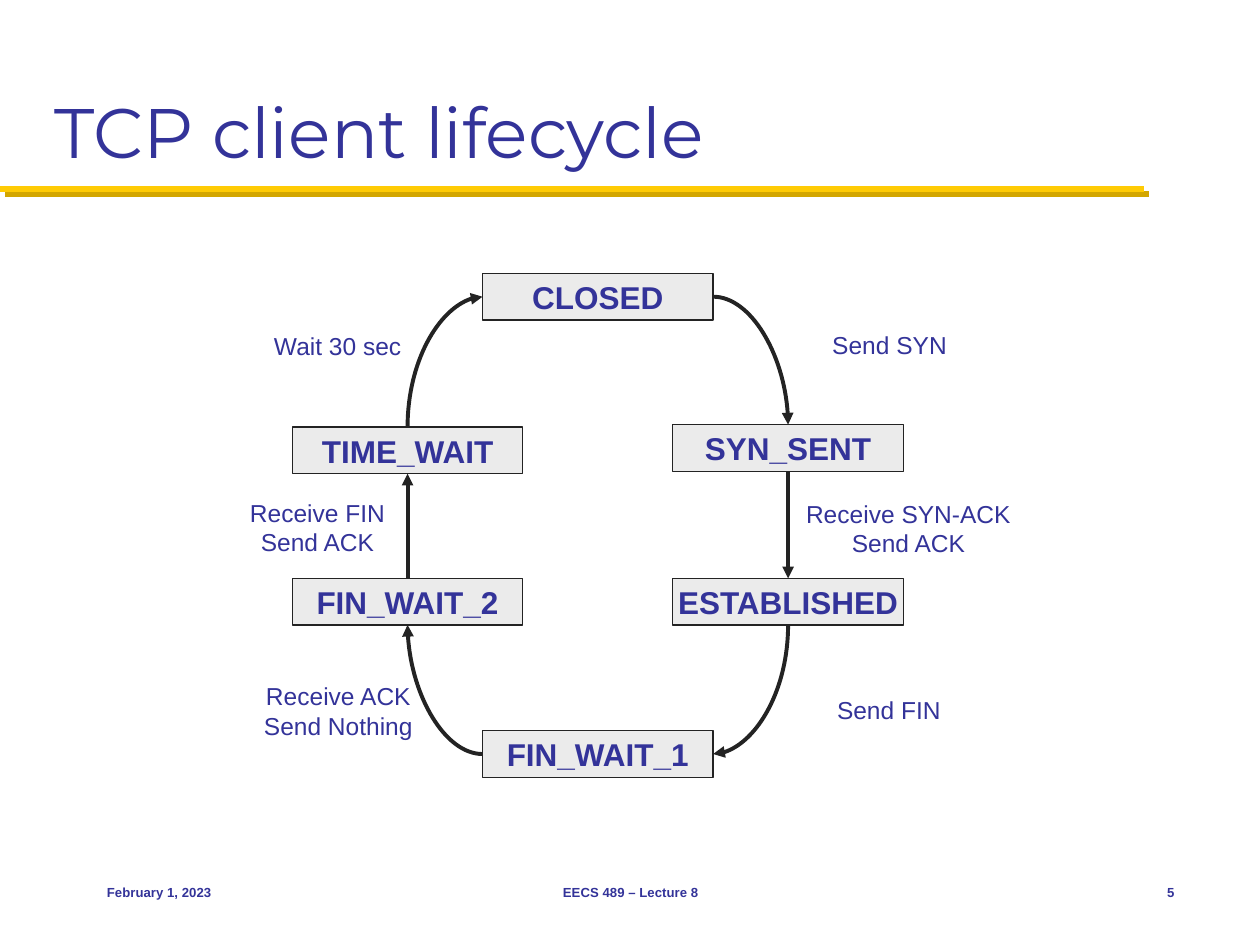
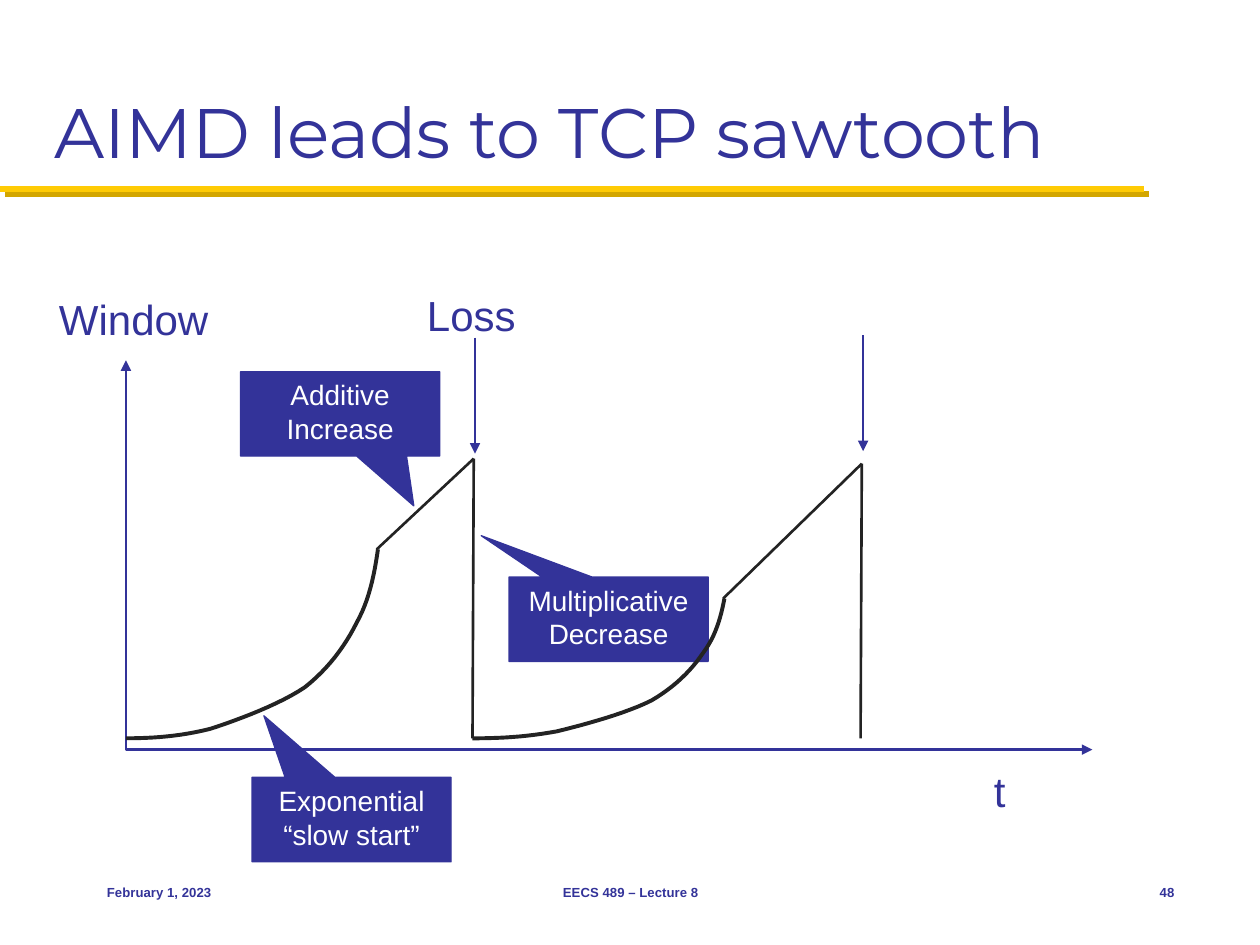
import pptx
import pptx.util
import pptx.dml.color
import pptx.enum.shapes
import pptx.enum.text
import pptx.oxml.ns
from lxml import etree

Inches = pptx.util.Inches
Pt = pptx.util.Pt
RGBColor = pptx.dml.color.RGBColor
qn = pptx.oxml.ns.qn
ALIGN = pptx.enum.text.PP_ALIGN
ANCHOR = pptx.enum.text.MSO_ANCHOR
SHAPE = pptx.enum.shapes.MSO_SHAPE
CONNECTOR = pptx.enum.shapes.MSO_CONNECTOR

NAVY = RGBColor(0x33, 0x33, 0x99)
INK = RGBColor(0x23, 0x23, 0x23)
PALE = RGBColor(0xEB, 0xEB, 0xEB)
WHITE = RGBColor(0xFF, 0xFF, 0xFF)
MAIZE = RGBColor(0xFF, 0xCB, 0x05)

TITLE = {"name": "Montserrat", "size": Pt(40)}
FOOTER = {"name": "Arial", "size": Pt(7.5), "bold": True}
STATE = {"name": "Arial", "size": Pt(18), "bold": True}
EVENT = {"name": "Arial", "size": Pt(14)}
AXIS_LABEL = {"name": "Arial", "size": Pt(24)}
CALLOUT = {"name": "Arial", "size": Pt(16)}


def write(shape, words, font, align=ALIGN.CENTER, color=NAVY,
          anchor=ANCHOR.TOP, wrap=False):
    """Fill a shape with text in one format."""
    frame = shape.text_frame
    frame.text = words
    layout = {"word_wrap": wrap, "vertical_anchor": anchor,
              "auto_size": pptx.enum.text.MSO_AUTO_SIZE.NONE}
    for key, value in layout.items():
        setattr(frame, key, value)
    for paragraph in frame.paragraphs:
        paragraph.alignment = align
        for run in paragraph.runs:
            for key, value in font.items():
                setattr(run.font, key, value)
            run.font.color.rgb = color


def stroke(shape, color, width, ends=()):
    """Set line and arrowheads, and return the emptied effect list."""
    shape.line.color.rgb = color
    shape.line.width = Pt(width)
    properties = shape.element.spPr
    for end in ends:
        etree.SubElement(properties.find(qn("a:ln")), qn("a:" + end), type="triangle")
    return etree.SubElement(properties, qn("a:effectLst"))


deck = pptx.Presentation()
deck.slide_width, deck.slide_height = Inches(10), Inches(7.5)

# Title, band and footers of both slides
slides = []
for heading, number in (("TCP client lifecycle", "5"),
                        ("AIMD leads to TCP sawtooth", "48")):
    slide = deck.slides.add_slide(deck.slide_layouts[5])
    slides.append(slide)
    band = slide.shapes.add_connector(
        CONNECTOR.STRAIGHT, 0, Inches(1.5), Inches(9.08), Inches(1.5))
    effects = stroke(band, MAIZE, 3.5)
    shadow = etree.SubElement(effects, qn("a:outerShdw"), blurRad="0",
                              dist=str(Pt(4.2)), dir="2700000", algn="ctr", rotWithShape="0")
    etree.SubElement(shadow, qn("a:srgbClr"), val="D3A600")

    title = slide.shapes.title
    place = {"left": 0.33, "top": 0.17, "width": 9.33, "height": 1.25}
    for key, value in place.items():
        setattr(title, key, Inches(value))
    write(title, heading, TITLE, ALIGN.LEFT, anchor=ANCHOR.BOTTOM, wrap=True)

    for words, left, width, align in (
            ("February 1, 2023", 0.75, 2.08, ALIGN.LEFT),
            ("EECS 489 – Lecture 8", 3.42, 3.17, ALIGN.CENTER),
            (number, 8.75, 0.67, ALIGN.RIGHT)):
        footer = slide.shapes.add_textbox(
            Inches(left), Inches(6.83), Inches(width), Inches(0.5))
        write(footer, words, FOOTER, align, anchor=ANCHOR.MIDDLE, wrap=True)

lifecycle, sawtooth = (slide.shapes for slide in slides)

# States of the connection
states = {}
for name, left, top in (
        ("CLOSED", 3.83, 2.17), ("SYN_SENT", 5.34, 3.37),
        ("ESTABLISHED", 5.34, 4.59), ("FIN_WAIT_1", 3.83, 5.8),
        ("FIN_WAIT_2", 2.32, 4.59), ("TIME_WAIT", 2.32, 3.39)):
    state = lifecycle.add_shape(
        SHAPE.RECTANGLE, Inches(left), Inches(top), Inches(1.83), Inches(0.37))
    state.fill.solid()
    state.fill.fore_color.rgb = PALE
    stroke(state, INK, 0.75)
    write(state, name, STATE, anchor=ANCHOR.MIDDLE)
    states[name] = state

# Transitions; each curve leaves a side of its first state and meets the
# top or bottom of the second, so some carry the arrow at their start
TOP, LEFT, BOTTOM, RIGHT = range(4)
for start, start_site, finish, finish_site, arrow in (
        ("CLOSED", RIGHT, "SYN_SENT", TOP, "tailEnd"),
        ("SYN_SENT", BOTTOM, "ESTABLISHED", TOP, "tailEnd"),
        ("FIN_WAIT_1", RIGHT, "ESTABLISHED", BOTTOM, "headEnd"),
        ("FIN_WAIT_1", LEFT, "FIN_WAIT_2", BOTTOM, "tailEnd"),
        ("FIN_WAIT_2", TOP, "TIME_WAIT", BOTTOM, "tailEnd"),
        ("CLOSED", LEFT, "TIME_WAIT", TOP, "headEnd")):
    curved = start_site in (LEFT, RIGHT)
    transition = lifecycle.add_connector(
        CONNECTOR.CURVE if curved else CONNECTOR.STRAIGHT, 0, 0, 0, 0)
    transition.begin_connect(states[start], start_site)
    transition.end_connect(states[finish], finish_site)
    if curved:
        geometry = transition.element.spPr.find(qn("a:prstGeom"))
        geometry.set("prst", "curvedConnector2")
    stroke(transition, INK, 2.25, [arrow])

for words, left, top, width, height in (
        ("Send SYN", 6.5, 2.57, 1.12, 0.34),
        ("Receive SYN-ACK\nSend ACK", 6.29, 3.91, 1.84, 0.57),
        ("Send FIN", 6.54, 5.47, 1.03, 0.34),
        ("Receive ACK\nSend Nothing", 1.99, 5.36, 1.39, 0.57),
        ("Receive FIN\nSend ACK", 1.88, 3.9, 1.28, 0.57),
        ("Wait 30 sec", 2.07, 2.58, 1.22, 0.34)):
    event = lifecycle.add_textbox(
        Inches(left), Inches(top), Inches(width), Inches(height))
    write(event, words, EVENT)

# Axes and their labels
builder = sawtooth.build_freeform(Inches(1), Inches(2.86))
builder.add_line_segments(
    [(Inches(1), Inches(5.95)), (Inches(8.67), Inches(5.95))], close=False)
axes = builder.convert_to_shape()
axes.fill.background()
stroke(axes, NAVY, 1.5, ["headEnd", "tailEnd"])

for words, left, top, width in (
        ("Loss", 3.29, 2.25, 0.91), ("t", 7.79, 6.03, 0.29),
        ("Window", 0.37, 2.28, 1.4)):
    label = sawtooth.add_textbox(
        Inches(left), Inches(top), Inches(width), Inches(0.5))
    write(label, words, AXIS_LABEL, ALIGN.LEFT)

# Phases of the window
for words, left, top, tip_x, tip_y in (
        ("Exponential\v“slow start”", 2, 6.17, -0.44, -1.23),
        ("Multiplicative Decrease", 4.04, 4.58, -0.64, -0.99),
        ("Additive Increase", 1.91, 2.95, 0.37, 1.09)):
    phase = sawtooth.add_shape(
        SHAPE.RECTANGULAR_CALLOUT, Inches(left), Inches(top), Inches(1.58), Inches(0.67))
    phase.adjustments[0], phase.adjustments[1] = tip_x, tip_y
    phase.fill.solid()
    phase.fill.fore_color.rgb = NAVY
    stroke(phase, NAVY, 0.75)
    write(phase, words, CALLOUT, color=WHITE, wrap=True)

# Slow start: Bezier points right of the start and above the floor, as
# shares of the curve's height
FLOOR = 5.86
SLOW_START = [(2, 1), (1.97, 0.86), (1.93, 0.73), (1.83, 0.61),
              (1.74, 0.49), (1.61, 0.37), (1.42, 0.27),
              (1.22, 0.18), (0.9, 0.1), (0.67, 0.05),
              (0.43, 0.01), (0.22, 0), (0, 0)]
STEPS = 12
growth = [SLOW_START[0]]
for first in range(0, len(SLOW_START) - 1, 3):
    controls = SLOW_START[first:first + 4]
    for step in range(1, STEPS + 1):
        t = step / STEPS
        weights = ((1 - t) ** 3, 3 * t * (1 - t) ** 2, 3 * t * t * (1 - t), t ** 3)
        growth.append(tuple(sum(w * point[axis] for w, point in zip(weights, controls))
                            for axis in (0, 1)))

for left, height, peak_x, peak_y, drop_x in (
        (1, 1.5, 3.76, 3.64, 3.75), (3.75, 1.11, 6.84, 3.68, 6.83)):
    points = [(Inches(left + x), Inches(FLOOR - y * height)) for x, y in growth]
    builder = sawtooth.build_freeform(*points[0])
    builder.add_line_segments(points[1:], close=False)
    slow_start = builder.convert_to_shape()
    slow_start.fill.background()
    stroke(slow_start, INK, 2.25)
    knee = (left + 1.99, FLOOR - height)
    peak = (peak_x, peak_y)
    for start, finish in ((knee, peak), (peak, (drop_x, FLOOR))):
        edge = sawtooth.add_connector(
            CONNECTOR.STRAIGHT, *map(Inches, start + finish))
        stroke(edge, INK, 1.5)

for x, top, bottom in ((3.77, 2.68, 3.6), (6.85, 2.66, 3.58)):
    loss = sawtooth.add_connector(
        CONNECTOR.STRAIGHT, Inches(x), Inches(top), Inches(x), Inches(bottom))
    stroke(loss, NAVY, 0.75, ["tailEnd"])

deck.save("out.pptx")
